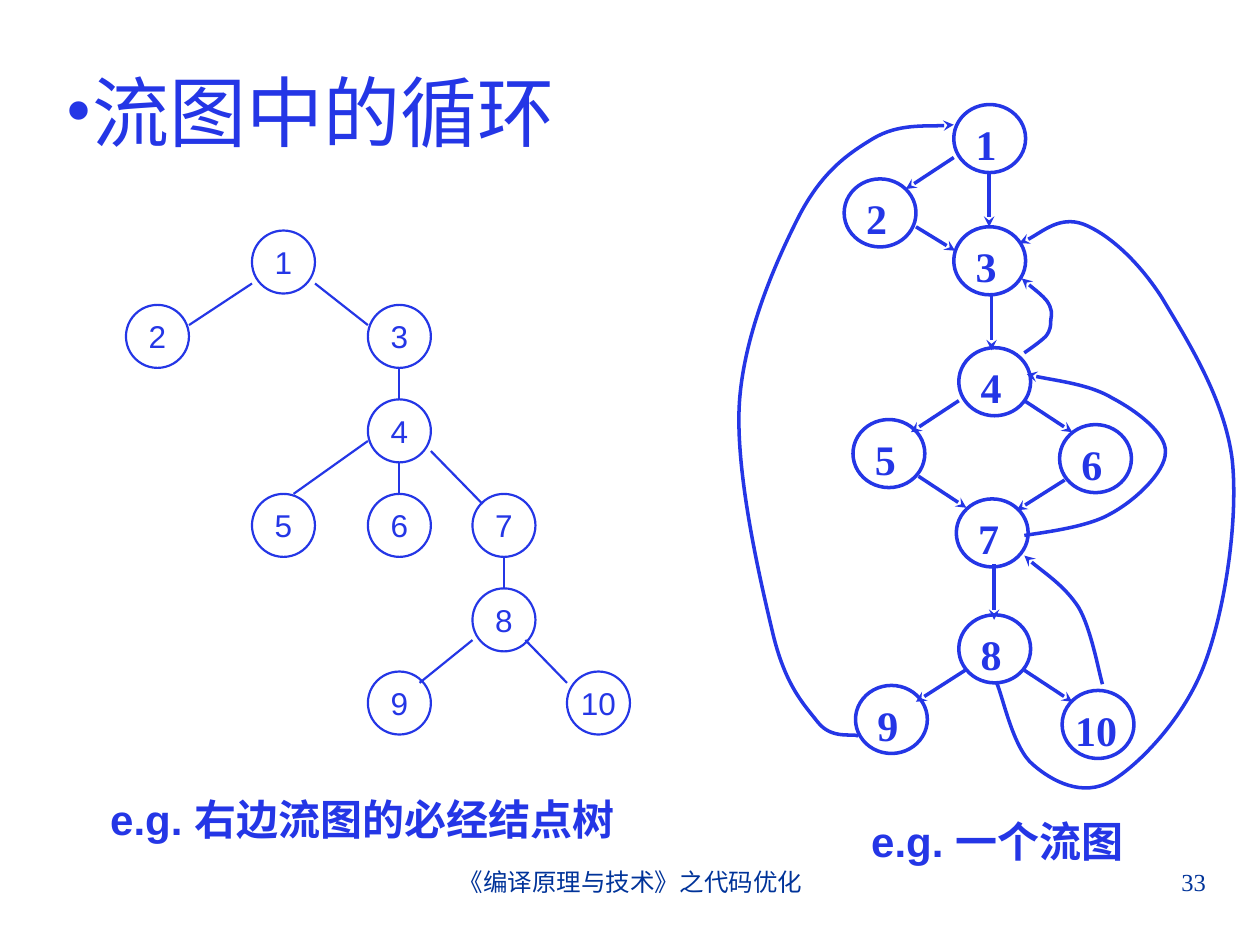
import pptx
import pptx.util
import pptx.dml.color
import pptx.enum.shapes
import pptx.enum.text
import pptx.oxml
import pptx.oxml.ns

Inches, Pt = pptx.util.Inches, pptx.util.Pt
ALIGN = pptx.enum.text.PP_ALIGN
ANCHOR = pptx.enum.text.MSO_ANCHOR
BLUE, NAVY = "2436E6", "003399"
SANS, SERIF, HAN = "Arial", "Times New Roman", "Noto Sans CJK SC"

# Node corners and edge ends are measured from the corner of each diagram's box.
TREE_NODES = [(1, 0), (0, 0.59), (1.92, 0.59), (1.92, 1.34), (1, 2.09),
              (1.92, 2.09), (2.75, 2.09), (2.75, 2.84), (1.92, 3.5), (3.5, 3.5)]
TREE_EDGES = [(1, 0.42, 0.5, 0.75), (1.5, 0.42, 1.92, 0.75),
              (2.17, 1.09, 2.17, 1.34), (2.17, 1.84, 2.17, 2.09),
              (1.92, 1.67, 1.33, 2.09), (2.42, 1.75, 2.83, 2.17),
              (3, 2.59, 3, 2.84), (2.75, 3.25, 2.33, 3.59),
              (3.17, 3.25, 3.5, 3.59)]
FLOW_NODES = [(1.77, 0.03), (0.9, 0.62), (1.77, 1), (1.81, 1.96), (0.97, 2.53),
              (2.61, 2.57), (1.79, 3.16), (1.81, 4.08), (0.99, 4.64), (2.63, 4.68)]
FLOW_EDGES = [(1.77, 0.45, 1.39, 0.7), (2.05, 0.56, 2.05, 1),
              (1.47, 1, 1.78, 1.19), (2.07, 1.54, 2.07, 1.98),
              (1.81, 2.38, 1.43, 2.63), (2.33, 2.38, 2.71, 2.63),
              (1.49, 2.98, 1.87, 3.23), (2.65, 3.01, 2.27, 3.25),
              (2.09, 3.68, 2.09, 4.12), (2.33, 4.52, 2.71, 4.77),
              (1.86, 4.52, 1.47, 4.77)]
# Each back edge is a start point, then three Bezier points for every bend.
BACK_EDGES = [
    [(2.33, 3.45), (2.44, 3.43), (2.82, 3.39), (3.01, 3.28),
     (3.2, 3.18), (3.45, 2.95), (3.45, 2.79),
     (3.46, 2.64), (3.22, 2.46), (3.03, 2.36),
     (2.85, 2.25), (2.49, 2.21), (2.35, 2.17)],
    [(1.01, 5.04), (0.96, 5.02), (0.8, 5.07), (0.69, 4.93),
     (0.58, 4.79), (0.43, 4.64), (0.33, 4.21),
     (0.23, 3.79), (0.03, 2.93), (0.07, 2.38),
     (0.11, 1.83), (0.37, 1.25), (0.55, 0.9),
     (0.73, 0.56), (0.93, 0.42), (1.13, 0.3),
     (1.33, 0.18), (1.64, 0.21), (1.77, 0.19)],
    [(2.11, 4.62), (2.16, 4.73), (2.24, 5.14), (2.4, 5.27),
     (2.55, 5.4), (2.79, 5.53), (3.02, 5.4),
     (3.24, 5.27), (3.6, 4.9), (3.76, 4.47),
     (3.92, 4.05), (4.03, 3.33), (3.98, 2.85),
     (3.92, 2.36), (3.61, 1.88), (3.42, 1.56),
     (3.22, 1.25), (2.98, 1.05), (2.8, 0.98),
     (2.61, 0.91), (2.4, 1.1), (2.29, 1.13)],
    [(2.33, 2), (2.36, 1.98), (2.46, 1.91), (2.5, 1.87),
     (2.54, 1.82), (2.54, 1.78), (2.54, 1.74),
     (2.55, 1.69), (2.55, 1.65), (2.51, 1.59),
     (2.47, 1.54), (2.35, 1.45), (2.31, 1.41)],
    [(2.95, 4.63), (2.92, 4.53), (2.86, 4.19), (2.76, 4.02),
     (2.65, 3.85), (2.42, 3.7), (2.33, 3.61)],
]


def color(code):
    return pptx.dml.color.RGBColor.from_string(code)


def apply(target, form):
    for name, value in form.items():
        setattr(target, name, value)


def add_xml(parent, tag, **attrs):
    child = parent.makeelement(pptx.oxml.ns.qn("a:" + tag), attrs)
    parent.append(child)
    return child


def write(shape, text, size, face, code, frame=None, para=None, bold=False):
    body = shape.text_frame
    apply(body, {"word_wrap": True, **(frame or {})})
    line = body.paragraphs[0]
    apply(line, para or {})
    run = line.add_run()
    run.text = text
    apply(run.font, {"size": Pt(size), "name": face, "bold": bold})
    run.font.color.rgb = color(code)
    add_xml(run.font._element, "ea", typeface=HAN)


def stroke(shape, width, arrow=False):
    shape.line.color.rgb = color(BLUE)
    shape.line.width = Pt(width)
    if arrow:
        add_xml(shape.line._get_or_add_ln(), "tailEnd", type="stealth")


def add_nodes(slide, box, spots, dims, width, **style):
    """Add numbered circles and return them."""
    nodes = []
    for num, (x, y) in enumerate(spots, 1):
        node = slide.shapes.add_shape(
            pptx.enum.shapes.MSO_SHAPE.OVAL, Inches(box[0] + x), Inches(box[1] + y),
            *map(Inches, dims))
        node.shadow.inherit = False
        node.fill.background()
        stroke(node, width)
        write(node, str(num), code=BLUE, **style)
        nodes.append(node)
    return nodes


def add_edges(slide, box, edges, width, arrow=False):
    left, top = box
    for x1, y1, x2, y2 in edges:
        edge = slide.shapes.add_connector(
            pptx.enum.shapes.MSO_CONNECTOR.STRAIGHT, Inches(left + x1),
            Inches(top + y1), Inches(left + x2), Inches(top + y2))
        stroke(edge, width, arrow)
        add_xml(edge._element.spPr, "effectLst")


def add_curve(slide, box, points):
    spots = [(Inches(box[0] + x), Inches(box[1] + y)) for x, y in points]
    maker = slide.shapes.build_freeform(*spots[0])
    maker.add_line_segments(spots[1:], close=False)
    curve = maker.convert_to_shape()
    steps = curve._element.xpath(".//a:lnTo")
    # Every three straight steps become one Bezier bend.
    for i in range(0, len(steps), 3):
        bend = add_xml(steps[i].getparent(), "cubicBezTo")
        for step in steps[i:i + 3]:
            bend.append(step[0])
            step.getparent().remove(step)
    curve.shadow.inherit = False
    curve.fill.background()
    stroke(curve, 2, arrow=True)


def add_tree(slide, box):
    """Draw the dominator tree."""
    frame = {"word_wrap": False, "vertical_anchor": ANCHOR.MIDDLE}
    add_nodes(slide, box, TREE_NODES, (0.5, 0.5), 1.25, size=18, face=SANS,
              frame=frame, para={"alignment": ALIGN.CENTER})
    add_edges(slide, box, TREE_EDGES, 1.25)


def add_flow(slide, box):
    """Draw the flow graph with its back edges."""
    frame = {"vertical_anchor": ANCHOR.TOP, "margin_left": Inches(0.09),
             "margin_top": Inches(0.03)}
    nodes = add_nodes(slide, box, FLOW_NODES, (0.57, 0.54), 2, size=24,
                      face=SERIF, frame=frame, bold=True,
                      para={"alignment": ALIGN.JUSTIFY})
    apply(nodes[-1].text_frame,
          {"margin_left": Inches(0.02), "margin_right": Inches(0.02)})
    add_edges(slide, box, FLOW_EDGES, 2, arrow=True)
    for points in BACK_EDGES:
        add_curve(slide, box, points)


def set_title(slide, box, text):
    title = slide.shapes.title
    apply(title, dict(zip(("left", "top", "width", "height"), map(Inches, box))))
    write(title, text, 44, HAN, BLUE,
          {"vertical_anchor": ANCHOR.MIDDLE,
           "auto_size": pptx.enum.text.MSO_AUTO_SIZE.NONE},
          {"alignment": ALIGN.LEFT})
    props = title.text_frame.paragraphs[0]._p.get_or_add_pPr()
    for name in ("marL", "indent"):
        props.set(name, "0")
    add_xml(add_xml(props, "buClr"), "srgbClr", val=BLUE)
    add_xml(props, "buFont", typeface=SERIF)
    add_xml(props, "buChar", char="•")


def add_note(slide, box, text, size, face, code, align=ALIGN.CENTER, before=0, bold=False):
    note = slide.shapes.add_textbox(*map(Inches, box))
    write(note, text, size, face, code, bold=bold,
          para={"alignment": align, "space_before": Pt(before)})


def main():
    deck = pptx.Presentation()
    apply(deck, {"slide_width": Inches(10), "slide_height": Inches(7.5)})
    slide = deck.slides.add_slide(deck.slide_layouts[5])
    set_title(slide, (0.42, 0.25, 9, 1.25), "流图中的循环")
    add_flow(slide, (5.8, 0.8))
    add_tree(slide, (1, 1.83))
    for box, text in (((0.5, 6.25, 4.75, 0.5), "e.g. 右边流图的必经结点树"),
                      ((6.08, 6.42, 3.67, 0.5), "e.g. 一个流图")):
        add_note(slide, box, text, 24, SANS, BLUE, before=15, bold=True)
    add_note(slide, (3.42, 6.83, 3.17, 0.52), "《编译原理与技术》之代码优化", 14, SERIF, NAVY)
    add_note(slide, (7.17, 6.83, 2.5, 0.52), "33", 14, SERIF, NAVY, ALIGN.RIGHT)
    deck.save("out.pptx")


if __name__ == "__main__":
    main()
